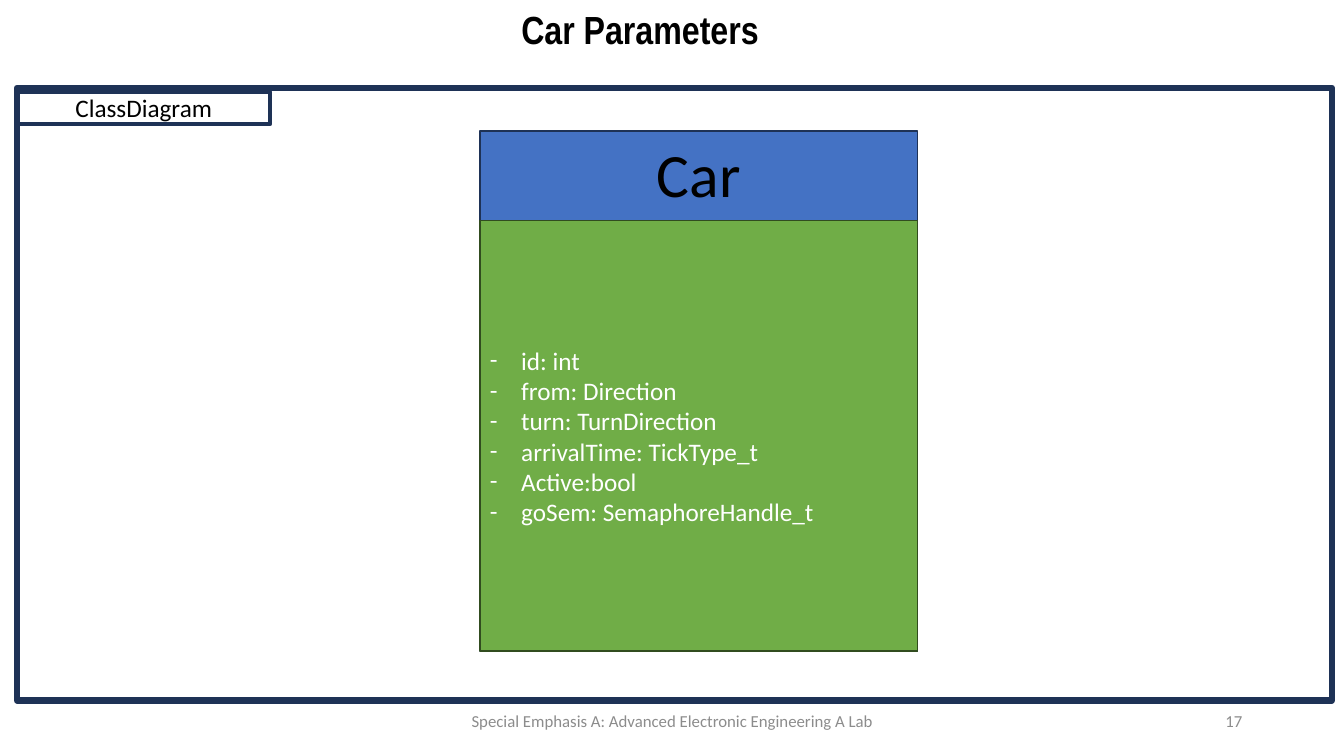
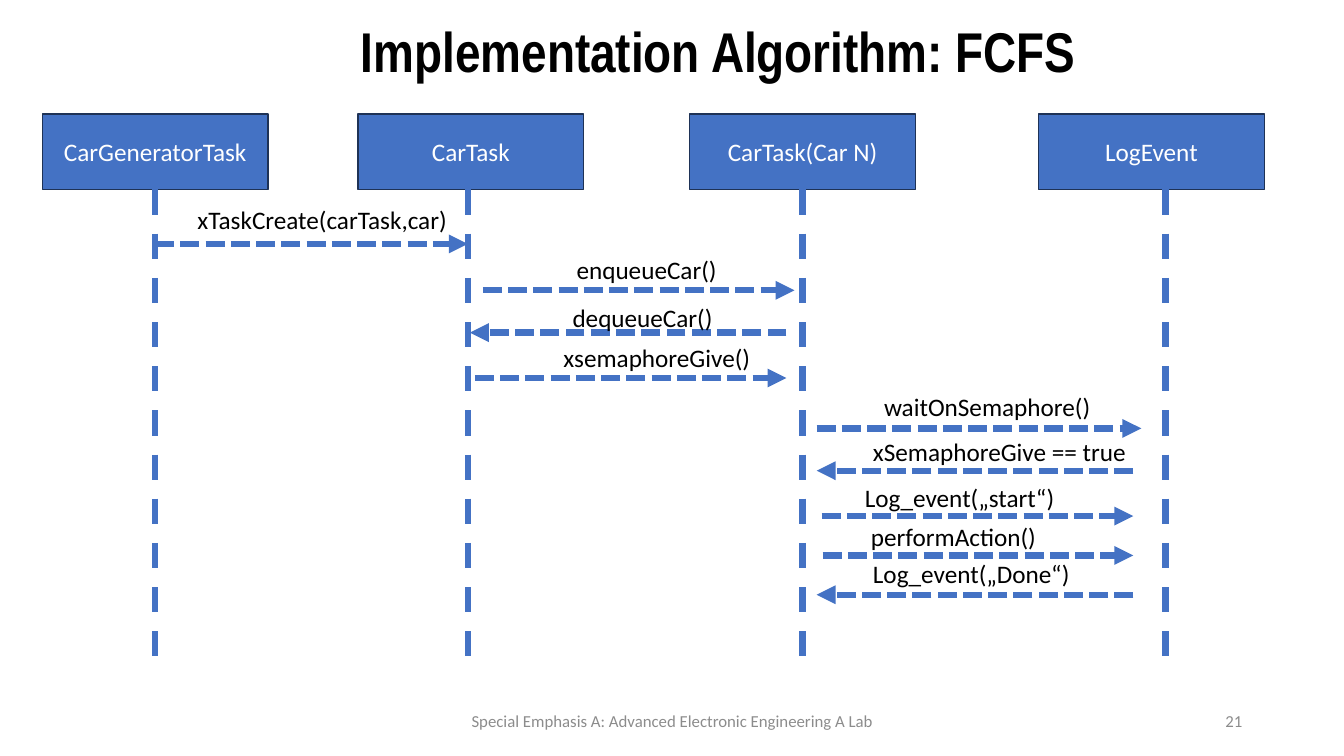
"""Builds the class diagram and FCFS sequence diagram slides."""
from dataclasses import dataclass
from typing import NamedTuple, Optional

from pptx import Presentation
from pptx.dml.color import RGBColor
from pptx.enum.dml import MSO_LINE
from pptx.enum.shapes import MSO_CONNECTOR, MSO_SHAPE
from pptx.enum.text import MSO_ANCHOR, MSO_AUTO_SIZE, PP_ALIGN
from pptx.oxml.ns import qn
from pptx.util import Inches, Pt
from lxml.etree import SubElement


@dataclass(frozen=True)
class Theme:
    navy: str = "1E3256"
    blue: str = "4472C4"
    green: str = "70AD47"
    dark_green: str = "314C1F"
    black: str = "000000"
    white: str = "FFFFFF"
    grey: str = "8C8C8C"
    title_font: str = "Arial Narrow"
    body_font: str = "Calibri"
    footer_size: float = 12
    body_size: float = 18
    title_size: float = 28
    large_title_size: float = 40
    class_name_size: float = 44
    thin_line: float = 1
    tab_line: float = 3
    heavy_line: float = 4.5


class Area(NamedTuple):
    left: float
    top: float
    width: float
    height: float

    def lengths(self):
        return [Inches(value) for value in self]


class Participant(NamedTuple):
    name: str
    left: float
    lifeline_x: float


class Message(NamedTuple):
    call: str
    start_x: float
    end_x: float
    y: float
    label: Area


THEME = Theme()
COURSE = "Special Emphasis A: Advanced Electronic Engineering A Lab"
COURSE_AREA = Area(4.42, 6.95, 4.5, 0.4)
NUMBER_AREA = Area(9.42, 6.95, 3, 0.4)

CAR_FIELDS = [
    "id: int",
    "from: Direction",
    "turn: TurnDirection",
    "arrivalTime: TickType_t",
    "Active:bool",
    "goSem: SemaphoreHandle_t",
]
FIELD_INDENT = 0.31

HEAD_TOP, HEAD_WIDTH, HEAD_HEIGHT = 1.13, 2.24, 0.75
LIFELINE_BOTTOM = 6.66
PARTICIPANTS = [
    Participant("CarGeneratorTask", 0.42, 1.54),
    Participant("CarTask", 3.55, 4.64),
    Participant("CarTask(Car N)", 6.84, 7.96),
    Participant("LogEvent", 10.3, 11.56),
]
MESSAGES = [
    Message("xTaskCreate(carTask,car)", 1.54, 4.64, 2.42, Area(1.86, 1.98, 2.92, 0.4)),
    Message("enqueueCar()", 4.79, 7.88, 2.88, Area(5.62, 2.47, 1.89, 0.4)),
    Message("dequeueCar()", 7.8, 4.66, 3.3, Area(5.58, 2.95, 1.89, 0.4)),
    Message("xsemaphoreGive()", 4.71, 7.8, 3.75, Area(5.49, 3.35, 2.47, 0.4)),
    Message("waitOnSemaphore()", 8.1, 11.32, 4.25, Area(8.67, 3.83, 2.47, 0.4)),
    Message("xSemaphoreGive == true", 11.24, 8.1, 4.67, Area(8.56, 4.28, 3, 0.4)),
    Message("Log_event(„start“)", 8.15, 11.24, 5.12, Area(8.48, 4.74, 3, 0.4)),
    Message("performAction()", 8.16, 11.24, 5.51, Area(8.54, 5.12, 2.47, 0.4)),
    Message("Log_event(„Done“)", 11.24, 8.1, 5.9, Area(8.56, 5.49, 3, 0.4)),
]


def write_text(holder, text: str, size: float = THEME.body_size, color: str = THEME.black,
               align=PP_ALIGN.LEFT, anchor=MSO_ANCHOR.TOP,
               font: str = THEME.body_font, bold: bool = False) -> None:
    frame = holder.text_frame
    frame.text = text
    frame.word_wrap = True
    frame.auto_size = MSO_AUTO_SIZE.NONE
    frame.vertical_anchor = anchor
    for paragraph in frame.paragraphs:
        paragraph.alignment = align
        paragraph.space_before = Pt(0)
        for run in paragraph.runs:
            run.font.size = Pt(size)
            run.font.name = font
            run.font.bold = bold
            run.font.color.rgb = RGBColor.from_string(color)


def place(placeholder, area: Area) -> None:
    placeholder.left, placeholder.top, placeholder.width, placeholder.height = area.lengths()


def paint(shape, fill: Optional[str], line: str, weight: float = THEME.thin_line) -> None:
    if fill:
        shape.fill.solid()
        shape.fill.fore_color.rgb = RGBColor.from_string(fill)
    else:
        shape.fill.background()
    shape.line.color.rgb = RGBColor.from_string(line)
    shape.line.width = Pt(weight)


def add_box(slide, area: Area, fill: Optional[str] = None, weight: float = THEME.thin_line):
    box = slide.shapes.add_shape(MSO_SHAPE.RECTANGLE, *area.lengths())
    box.shadow.inherit = False
    paint(box, fill, THEME.navy, weight)
    return box


def add_label(slide, text: str, area: Area, **style) -> None:
    write_text(slide.shapes.add_textbox(*area.lengths()), text, **style)


def add_dashed_line(slide, start: tuple[float, float], end: tuple[float, float],
                    dash, arrow: bool = False):
    line = slide.shapes.add_connector(
        MSO_CONNECTOR.STRAIGHT, *[Inches(value) for value in (*start, *end)])
    line.line.color.rgb = RGBColor.from_string(THEME.blue)
    line.line.width = Pt(THEME.heavy_line)
    line.line.dash_style = dash
    properties = line.element.find(qn("p:spPr"))
    if arrow:
        SubElement(properties.find(qn("a:ln")), qn("a:tailEnd"), type="triangle")
    SubElement(properties, qn("a:effectLst"))
    return line


def add_base_slide(deck, layout: int, title: str, area: Area, size: float, number: int):
    slide = deck.slides.add_slide(deck.slide_layouts[layout])
    place(slide.shapes.title, area)
    write_text(slide.shapes.title, title, size, font=THEME.title_font, bold=True)
    for text, footer_area, align in ((str(number), NUMBER_AREA, PP_ALIGN.RIGHT),
                                     (COURSE, COURSE_AREA, PP_ALIGN.CENTER)):
        add_label(slide, text, footer_area, size=THEME.footer_size, color=THEME.grey,
                  align=align, anchor=MSO_ANCHOR.MIDDLE)
    return slide


def add_car_fields(slide) -> None:
    fields = slide.placeholders[1]
    place(fields, Area(4.76, 2.19, 4.34, 4.27))
    paint(fields, THEME.green, THEME.dark_green)
    fields.text_frame.text = "\n".join(CAR_FIELDS)
    write_text(fields, "\n".join(CAR_FIELDS), color=THEME.white, anchor=MSO_ANCHOR.MIDDLE)
    for paragraph in fields.element.iter(qn("a:p")):
        properties = paragraph.get_or_add_pPr()
        properties.set("marL", str(Inches(FIELD_INDENT)))
        properties.set("indent", str(-Inches(FIELD_INDENT)))
        SubElement(properties, qn("a:buFont"), typeface=THEME.body_font)
        SubElement(properties, qn("a:buChar"), char="-")
    fields.element.getparent().append(fields.element)


def build_class_slide(deck) -> None:
    slide = add_base_slide(deck, 1, "Car Parameters", Area(5.07, 0, 7, 0.57),
                           THEME.title_size, 17)
    add_box(slide, Area(0.17, 0.87, 13.04, 6.08), weight=THEME.heavy_line)
    diagram_tab = add_box(slide, Area(0.17, 0.91, 2.51, 0.32), weight=THEME.tab_line)
    write_text(diagram_tab, "ClassDiagram", align=PP_ALIGN.CENTER, anchor=MSO_ANCHOR.MIDDLE)
    car_class = add_box(slide, Area(4.76, 1.3, 4.34, 5.16), THEME.blue)
    write_text(car_class, "Car", THEME.class_name_size, align=PP_ALIGN.CENTER)
    add_car_fields(slide)


def add_participant(slide, participant: Participant) -> None:
    head = add_box(slide, Area(participant.left, HEAD_TOP, HEAD_WIDTH, HEAD_HEIGHT), THEME.blue)
    write_text(head, participant.name, color=THEME.white,
               align=PP_ALIGN.CENTER, anchor=MSO_ANCHOR.MIDDLE)
    x = participant.lifeline_x
    lifeline = add_dashed_line(slide, (x, HEAD_TOP + HEAD_HEIGHT), (x, LIFELINE_BOTTOM),
                               MSO_LINE.DASH)
    if abs(participant.left + HEAD_WIDTH / 2 - x) < 0.01:
        lifeline.begin_connect(head, 2)


def build_sequence_slide(deck) -> None:
    slide = add_base_slide(deck, 5, "Implementation Algorithm: FCFS",
                           Area(3.48, 0.11, 7.66, 0.77), THEME.large_title_size, 21)
    for participant in PARTICIPANTS:
        add_participant(slide, participant)
    for message in MESSAGES:
        add_dashed_line(slide, (message.start_x, message.y), (message.end_x, message.y),
                        MSO_LINE.SQUARE_DOT, arrow=True)
        add_label(slide, message.call, message.label)


def main() -> None:
    deck = Presentation()
    deck.slide_width, deck.slide_height = Inches(13.33), Inches(7.5)
    build_class_slide(deck)
    build_sequence_slide(deck)
    deck.save("out.pptx")


if __name__ == "__main__":
    main()
